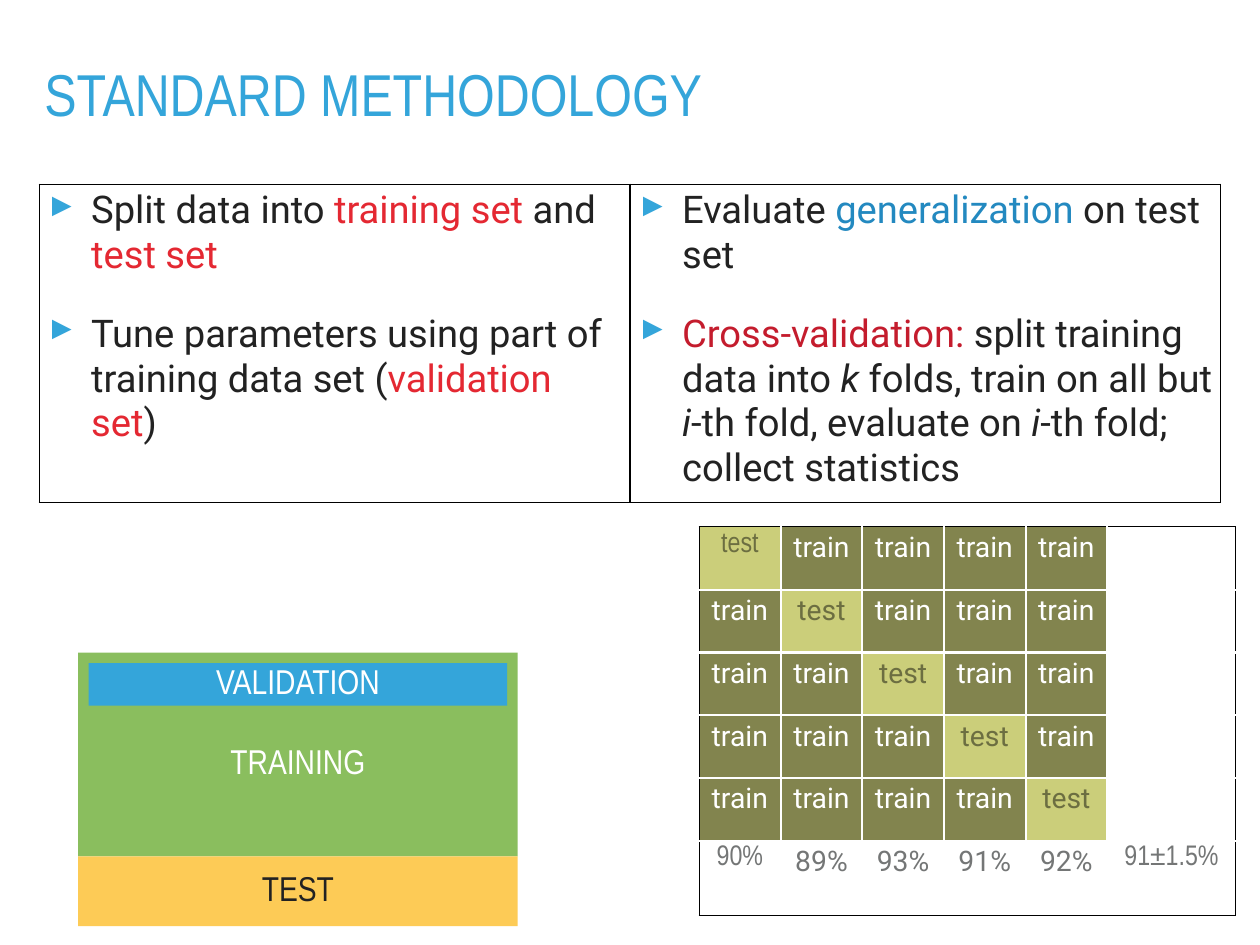
from dataclasses import dataclass

from lxml.etree import SubElement
from pptx import Presentation
from pptx.dml.color import RGBColor
from pptx.enum.shapes import MSO_SHAPE as Shape
from pptx.enum.text import MSO_ANCHOR as Anchor, MSO_AUTO_SIZE as AutoSize, PP_ALIGN as Align
from pptx.oxml.ns import qn
from pptx.slide import Slide
from pptx.util import Cm, Pt

COLORS = {
    "blue": "34A5DA", "link": "2389C0", "red": "E42832", "crimson": "C41C2D",
    "ink": "222222", "gray": "747676", "white": "FFFFFF", "black": "000000",
    "green": "8ABE5E", "yellow": "FDCB56",
    "olive": "82844E", "lime": "CBCE7A", "moss": "6C6E41",
}

LEFT_POINTS = [
    [("Split data into ", "ink"), ("training set", "red"), (" and ", "ink"), ("test set", "red")],
    [("Tune parameters using part of training data set (", "ink"),
     ("validation set", "red"), (")", "ink")],
]
RIGHT_POINTS = [
    [("Evaluate ", "ink"), ("generalization", "link"), (" on test set", "ink")],
    [("Cross-validation:", "crimson"), (" split training data into ", "ink"), ("k", "italic"),
     (" folds, train on all but ", "ink"), ("i", "italic"),
     ("-th fold, evaluate on ", "ink"), ("i", "italic"),
     ("-th fold; collect statistics", "ink")],
]
ACCURACIES = ["90%", "89%", "93%", "91%", "92%", "91±1.5%"]
FOLDS = 5


def rgb(color):
    """Turn a colour name into an RGBColor."""
    return RGBColor.from_string(COLORS[color])


@dataclass
class MethodologySlide:
    """Holds the slide and its style, and draws each kind of element."""

    slide: Slide
    heading_font: str = "Arial Narrow"
    body_font: str = "Roboto"
    inset: float = 0.15

    def style(self, font, face, size, color):
        """Set face, size and colour of a font."""
        font.name, font.size = face, Pt(size)
        font.color.rgb = rgb(color)

    def pad(self, frame, top=None):
        """Give a text frame the narrow insets and turn fitting off."""
        frame.word_wrap = True
        frame.auto_size = AutoSize.NONE
        frame.margin_left = frame.margin_right = frame.margin_bottom = Cm(self.inset)
        frame.margin_top = Cm(top or self.inset)

    def title(self, text, left, top, width, height):
        """Place and format the title placeholder."""
        heading = self.slide.shapes.title
        heading.left, heading.top, heading.width, heading.height = map(
            Cm, (left, top, width, height))
        frame = heading.text_frame
        frame.text = text
        self.pad(frame)
        frame.vertical_anchor = Anchor.TOP
        line = frame.paragraphs[0]
        line.alignment, line.line_spacing = Align.LEFT, 0.8
        self.style(line.runs[0].font, self.heading_font, 48, "blue")

    def block(self, text, left, top, width, height, fill, color="white", inset_top=None):
        """Draw a filled rectangle with a centred label."""
        block = self.slide.shapes.add_shape(
            Shape.RECTANGLE, *map(Cm, (left, top, width, height)))
        block.shadow.inherit = False
        block.fill.solid()
        block.fill.fore_color.rgb = rgb(fill)
        block.line.fill.background()
        frame = block.text_frame
        frame.text = text
        self.pad(frame, inset_top)
        frame.vertical_anchor = Anchor.MIDDLE
        label = frame.paragraphs[0]
        label.alignment, label.line_spacing = Align.CENTER, 0.8
        self.style(label.runs[0].font, self.heading_font, 28, color)

    def table(self, left, top, widths, heights):
        """Add an unbanded table with the given column widths and row heights."""
        table = self.slide.shapes.add_table(
            len(heights), len(widths), Cm(left), Cm(top),
            Cm(sum(widths)), Cm(sum(heights))).table
        table.first_row = table.horz_banding = False
        for column, width in zip(table.columns, widths):
            column.width = Cm(width)
        for row, height in zip(table.rows, heights):
            row.height = Cm(height)
        return table

    def paint(self, cell, fill, borders):
        """Draw the borders (left, right, top, bottom) and the fill of a cell."""
        properties = cell._tc.get_or_add_tcPr()
        for side, (color, width) in zip("LRTB", borders):
            line = SubElement(properties, qn(f"a:ln{side}"), w=str(Pt(width)))
            paint = SubElement(line, qn("a:solidFill"))
            SubElement(paint, qn("a:srgbClr"), val=COLORS[color])
        cell.fill.solid()
        cell.fill.fore_color.rgb = rgb(fill)

    def bullet(self, paragraph):
        """Give a paragraph a hanging triangle bullet."""
        properties = paragraph._p.get_or_add_pPr()
        properties.set("marL", str(Cm(1.24)))
        properties.set("indent", str(Cm(-1.22)))
        tint = SubElement(properties, qn("a:buClr"))
        SubElement(tint, qn("a:srgbClr"), val=COLORS["blue"])
        SubElement(properties, qn("a:buSzPct"), val="105000")
        SubElement(properties, qn("a:buChar"), char="▸")

    def points_table(self, columns, left, top, width, height):
        """Set bullet lists side by side in a bordered table."""
        table = self.table(left, top, [width] * len(columns), [height])
        for cell, points in zip(table.rows[0].cells, columns):
            self.paint(cell, "white", [("black", 1)] * 4)
            frame = cell.text_frame
            for number, point in enumerate(points):
                paragraph = frame.add_paragraph() if number else frame.paragraphs[0]
                self.bullet(paragraph)
                paragraph.space_before = Pt(28 if number else 0)
                for text, role in point:
                    run = paragraph.add_run()
                    run.text = text
                    italic = role == "italic"
                    self.style(run.font, self.body_font, 31, "ink" if italic else role)
                    run.font.italic = italic

    def folds_table(self, left, top, widths, heights):
        """Show the test fold of each round on the diagonal, with accuracies below."""
        table = self.table(left, top, widths, heights)
        outer, inner = ("black", 1), ("white", 2)
        last_row, last_column = len(heights) - 1, len(widths) - 1
        for row in range(len(heights)):
            for column in range(len(widths)):
                if row == FOLDS:
                    text, fill, color = ACCURACIES[column], "white", "gray"
                elif column == FOLDS:
                    text, fill, color = "", "white", "gray"
                elif row == column:
                    text, fill, color = "test", "lime", "moss"
                else:
                    text, fill, color = "train", "olive", "white"
                cell = table.cell(row, column)
                edges = (column == 0, column == last_column, row == 0, row == last_row)
                self.paint(cell, fill, [outer if edge else inner for edge in edges])
                cell.margin_left = cell.margin_right = Cm(self.inset)
                cell.margin_top = cell.margin_bottom = Cm(0.13)
                cell.text_frame.text = text
                entry = cell.text_frame.paragraphs[0]
                entry.alignment = Align.CENTER
                narrow = (row, column) in [(0, 0), (FOLDS, 0), (FOLDS, FOLDS)]
                for run in entry.runs:
                    self.style(run.font, self.heading_font if narrow else self.body_font,
                               23, color)


def main():
    """Build the slide and save it."""
    deck = Presentation()
    deck.slide_width, deck.slide_height = Cm(36.12), Cm(27.1)
    page = MethodologySlide(deck.slides.add_slide(deck.slide_layouts[5]))
    page.points_table([LEFT_POINTS, RIGHT_POINTS], 1.12, 5.28, 16.94, 9.12)
    page.title("STANDARD METHODOLOGY", 1.12, 1.88, 33.86, 2)
    page.folds_table(20.04, 15.11, [2.34] * FOLDS + [3.69], [1.8] * FOLDS + [2.15])
    page.block("TRAINING", 2.24, 18.72, 12.6, 5.84, "green", inset_top=0.75)
    page.block("TEST", 2.24, 24.56, 12.6, 2, "yellow", "ink")
    page.block("VALIDATION", 2.54, 19.02, 12, 1.22, "blue")
    deck.save("out.pptx")


if __name__ == "__main__":
    main()
